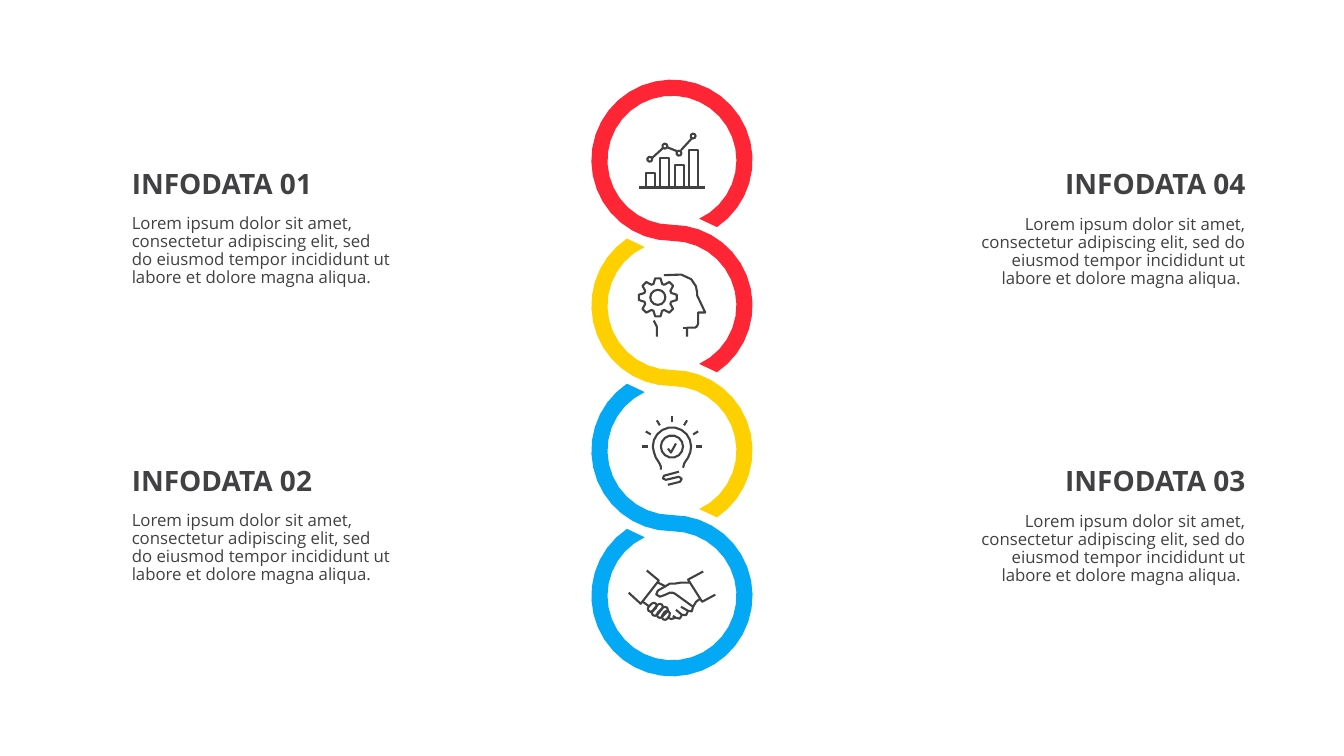
import math
from dataclasses import dataclass

import pptx
import pptx.dml.color
import pptx.enum.text
import pptx.util

PX = 9144  # EMU in one px, 100 px to the inch


@dataclass(frozen=True)
class Theme:
    red: str = "FE2635"
    yellow: str = "FFD000"
    blue: str = "03A9F4"
    ink: str = "414042"
    font: str = "Open Sans"
    heading_size: int = 20
    body_size: int = 12
    icon_line: float = 1.5


THEME = Theme()

RING_X, FIRST_RING_Y, RING_PITCH = 667, 159, 144
OUTER_RADIUS, INNER_RADIUS = 80, 64
TIP_SLANT = 9  # degrees by which the outer edge stops short of the inner one
ARC_TOLERANCE = 0.3  # px between an arc and its chords

BODY = ("Lorem ipsum dolor sit amet, consectetur adipiscing elit, sed do "
        "eiusmod tempor incididunt ut labore et dolore magna aliqua.")


def color(value):
    return pptx.dml.color.RGBColor.from_string(value)


def polar(center, radius, degrees):
    angle = math.radians(degrees)
    return center[0] + radius * math.cos(angle), center[1] + radius * math.sin(angle)


def arc(center, radius, start, end):
    """Points along an arc; angles run clockwise from the right."""
    step = 2 * math.degrees(math.acos(1 - ARC_TOLERANCE / radius))
    steps = math.ceil(abs(end - start) / step)
    return [polar(center, radius, start + (end - start) * i / steps)
            for i in range(steps + 1)]


def circle(center, diameter):
    points = arc(center, diameter / 2, 0, 360)
    return points[:-1] + points[:1]


def curve(start, *controls):
    """Points along chained cubic Béziers, three control points to each."""
    points = [start]
    for i in range(0, len(controls), 3):
        knots = [points[-1], *controls[i:i + 3]]
        steps = 2 + int(math.dist(knots[0], knots[3]) // 12)
        for step in range(1, steps + 1):
            t = step / steps
            weights = ((1 - t) ** 3, 3 * t * (1 - t) ** 2, 3 * t * t * (1 - t), t ** 3)
            points.append(tuple(sum(w * knot[axis] for w, knot in zip(weights, knots))
                                for axis in (0, 1)))
    return points


def capsule(start, end, width):
    angle = math.degrees(math.atan2(end[1] - start[1], end[0] - start[0]))
    points = (arc(start, width / 2, angle + 90, angle + 270)
              + arc(end, width / 2, angle - 90, angle + 90))
    return points + points[:1]


def add_outline(slide, contours):
    """Build one shape from contours; one that ends where it starts is closed."""
    builder = None
    for contour in contours:
        points = [(x * PX, y * PX) for x, y in contour]
        closed = contour[0] == contour[-1]
        if builder is None:
            builder = slide.shapes.build_freeform(*points[0], scale=1.0)
        else:
            builder.move_to(*points[0])
        builder.add_line_segments(points[1:-1] if closed else points[1:], close=closed)
    shape = builder.convert_to_shape()
    shape.shadow.inherit = False
    return shape


def add_ribbon(slide, upper, upper_end, lower_end, fill):
    """Wind a band round two neighbouring rings, up to the given angles."""
    points = []
    for ring, start, end in ((upper, 90, upper_end), (upper + 1, 270, lower_end)):
        center = RING_X, FIRST_RING_Y + ring * RING_PITCH
        points += arc(center, INNER_RADIUS, start, end)
        points += arc(center, OUTER_RADIUS, end - TIP_SLANT, start)
    shape = add_outline(slide, [points + points[:1]])
    shape.fill.solid()
    shape.fill.fore_color.rgb = color(fill)
    shape.line.fill.background()


def add_icon(slide, contours):
    shape = add_outline(slide, contours)
    shape.fill.background()
    shape.line.color.rgb = color(THEME.ink)
    shape.line.width = pptx.util.Pt(THEME.icon_line)


def chart_icon():
    base = 186
    bars = [[(x, top), (x, base), (x + 9, base), (x + 9, top), (x, top)]
            for x, top in ((641, 172), (655, 157), (670, 164), (684, 149))]
    markers = [circle(center, 5)
               for center in ((645, 158), (660, 145), (674, 152), (688, 135))]
    trend = [[(647, 157), (658, 147)], [(662, 146), (672, 150)], [(676, 149), (687, 137)]]
    return [[(634, base), (700, base)], *bars, *markers, *trend]


def head_icon():
    center = 653, 295
    gear = [polar(center, radius, 45 * tooth + offset) for tooth in range(8)
            for radius, offset in ((14, -18), (19, -8), (19, 8), (14, 18))]
    face = (curve((659, 273), (695, 266), (692, 293), (692, 293))
            + [(700, 310), (693, 310)]
            + curve((693, 321), (693, 323), (691, 325), (690, 325))
            + [(682, 325), (682, 334)])
    return [face, [(652, 334), (652, 324), (649, 318)], gear + gear[:1],
            circle(center, 15), [(682, 325), (678, 325)]]


def bulb_icon():
    center = 667, 443
    bulb = (curve((656, 466), (657, 463), (655, 460), (651, 454),
                  (650, 450), (648, 447), (648, 443))
            + arc(center, 19, 180, 360)
            + curve((686, 443), (686, 447), (685, 450), (683, 454),
                    (680, 458), (678, 461), (678, 464)))
    left_rays = [[(655, 422), (652, 417)], [(646, 431), (641, 428)], [(643, 443), (637, 443)]]
    right_rays = [[(2 * center[0] - x, y) for x, y in ray] for ray in left_rays]
    cap = ([(674, 468)] + curve((659, 472), (657, 473), (658, 477), (661, 476))
           + curve((674, 473), (677, 473), (678, 477), (675, 478)) + [(663, 481)])
    return [bulb, circle(center, 22), [(663, 445), (666, 449), (671, 440)],
            [(667, 419), (667, 413)], *left_rays, *right_rays, cap]


def handshake_icon():
    left_fingers = [capsule(start, end, 6) for start, end in (
        ((646, 604), (649, 601)), ((650, 608), (655, 602)),
        ((655, 610), (660, 605)), ((660, 612), (662, 609)))]
    right_fingers = [
        [(676, 602)] + curve((683, 606), (686, 608), (688, 607), (688, 602)),
        [(671, 605)] + curve((677, 610), (680, 612), (683, 610), (683, 606)),
        [(668, 611)] + curve((671, 613), (673, 615), (677, 614), (677, 610)),
        curve((663, 613), (665, 614), (668, 615), (670, 613))]
    palm = ([(685, 578), (676, 578), (670, 579), (665, 579)]
            + curve((653, 586), (648, 588), (653, 592), (655, 592),
                    (657, 591), (662, 590), (665, 588), (667, 588), (669, 588), (670, 589))
            + [(688, 602)])
    wrist = [(695, 594), (691, 597), (688, 602)]
    cuffs = [[(698, 567), (683, 575), (697, 597), (710, 590)],
             [(624, 588), (636, 599), (654, 576), (642, 566)]]
    return [*left_fingers, *right_fingers, *cuffs, palm, wrist,
            [(638, 597), (645, 602)], [(661, 582), (653, 578)]]


def add_text(slide, text, box, size, align, bold=False):
    shape = slide.shapes.add_textbox(*(length * PX for length in box))
    shape.text_frame.word_wrap = True
    shape.text_frame.text = text
    paragraph = shape.text_frame.paragraphs[0]
    paragraph.alignment = align
    paragraph.line_spacing = 0.9
    font = paragraph.runs[0].font
    font.name = THEME.font
    font.size = pptx.util.Pt(size)
    font.bold = bold
    font.color.rgb = color(THEME.ink)


def add_text_block(slide, number, top, on_right):
    if on_right:
        align = pptx.enum.text.PP_ALIGN.RIGHT
        heading_box, body_box = (974, top, 272, 59), (961, top + 45, 285, 87)
    else:
        align = pptx.enum.text.PP_ALIGN.LEFT
        heading_box, body_box = (121, top, 277, 59), (121, top + 44, 277, 94)
    body = BODY + " " if on_right else BODY
    add_text(slide, f"INFODATA {number:02}", heading_box, THEME.heading_size, align, bold=True)
    add_text(slide, body, body_box, THEME.body_size, align)


def main():
    presentation = pptx.Presentation()
    presentation.slide_width = 1334 * PX
    presentation.slide_height = 750 * PX
    slide = presentation.slides.add_slide(presentation.slide_layouts[6])

    add_ribbon(slide, 2, 245, 605, THEME.blue)
    add_ribbon(slide, 1, 245, 425, THEME.yellow)
    add_ribbon(slide, 0, 425, 425, THEME.red)
    for icon in (bulb_icon, head_icon, chart_icon, handshake_icon):
        add_icon(slide, icon())
    for number, top, on_right in ((1, 164, False), (2, 459, False),
                                  (3, 459, True), (4, 164, True)):
        add_text_block(slide, number, top, on_right)

    presentation.save("out.pptx")


if __name__ == "__main__":
    main()
